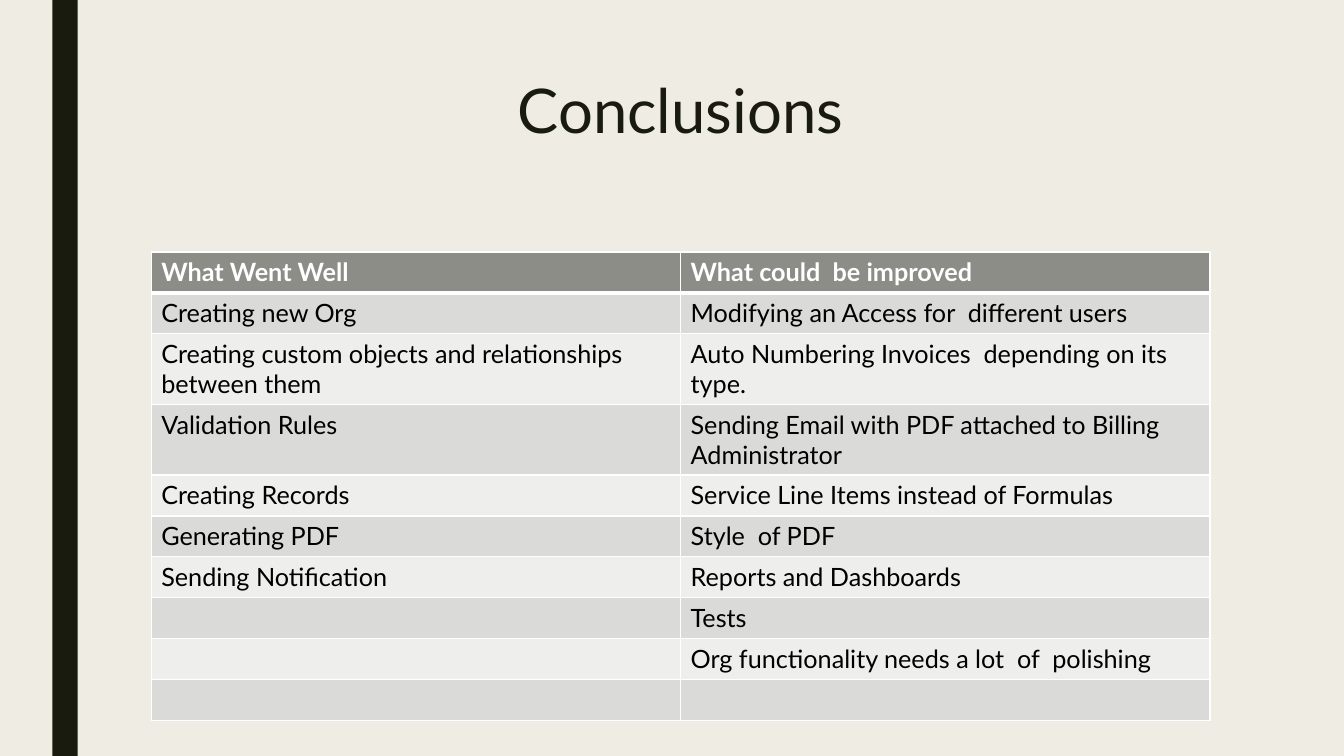
from lxml import etree
from pptx import Presentation
from pptx.dml.color import RGBColor
from pptx.enum.shapes import MSO_SHAPE
from pptx.enum.text import MSO_ANCHOR, PP_ALIGN
from pptx.oxml.ns import qn
from pptx.util import Inches, Pt

RECT = MSO_SHAPE.RECTANGLE
TOP = MSO_ANCHOR.TOP
LEFT, CENTER = PP_ALIGN.LEFT, PP_ALIGN.CENTER

CREAM = RGBColor(0xEF, 0xED, 0xE3)
DARK = RGBColor(0x19, 0x1B, 0x0E)
HEAD = RGBColor(0x8C, 0x8D, 0x86)
BANDS = RGBColor(0xEE, 0xEE, 0xED), RGBColor(0xDA, 0xDB, 0xD9)
WHITE = RGBColor(0xFF, 0xFF, 0xFF)
BLACK = RGBColor(0, 0, 0)
FONT = "Lato"

ROWS = [
    ("What Went Well", "What could  be improved"),
    ("Creating new Org", "Modifying an Access for  different users"),
    ("Creating custom objects and relationships between them",
     "Auto Numbering Invoices  depending on its type."),
    ("Validation Rules",
     "Sending Email with PDF attached to Billing Administrator"),
    ("Creating Records", "Service Line Items instead of Formulas"),
    ("Generating PDF", "Style  of PDF"),
    ("Sending Notification", "Reports and Dashboards"),
    ("", "Tests"),
    ("", "Org functionality needs a lot  of  polishing"),
    ("", ""),
]


def write(frame, text, size=18, color=BLACK, bold=False, align=LEFT, space=1.0):
    frame.word_wrap = True
    para = frame.paragraphs[0]
    para.alignment = align
    para.line_spacing = space
    para.font.size = Pt(size)
    if text:
        run = para.add_run()
        run.text = text
        font = run.font
        font.name, font.size, font.bold = FONT, Pt(size), bold
        font.color.rgb = color


def edge(cell, widths):
    """Draw the cell's white borders; widths maps L, R, T, B to points."""
    props = cell._tc.get_or_add_tcPr()
    for spot, (side, width) in enumerate(widths.items()):
        line = etree.Element(qn(f"a:ln{side}"), w=str(Pt(width)))
        fill = etree.SubElement(line, qn("a:solidFill"))
        etree.SubElement(fill, qn("a:srgbClr"), val=str(WHITE))
        props.insert(spot, line)


def add_bar(slide, x, y, w, h):
    bar = slide.shapes.add_shape(RECT, Inches(x), Inches(y), Inches(w), Inches(h))
    bar.shadow.inherit = False
    bar.fill.solid()
    bar.fill.fore_color.rgb = DARK
    bar.line.fill.background()


def add_title(slide, text, x, y, w, h):
    box = slide.shapes.add_textbox(Inches(x), Inches(y), Inches(w), Inches(h))
    box.text_frame.vertical_anchor = TOP
    write(box.text_frame, text, size=44, color=DARK, align=CENTER, space=0.89)


def add_grid(slide, rows, x, y, w, h):
    """Place a banded table; rows with wrapped text grow past their equal share of h."""
    grid = slide.shapes.add_table(len(rows), len(rows[0]), Inches(x), Inches(y),
                                  Inches(w), Inches(h)).table
    for r, row in enumerate(rows):
        first = r == 0
        for c, text in enumerate(row):
            cell = grid.cell(r, c)
            cell.fill.solid()
            cell.fill.fore_color.rgb = HEAD if first else BANDS[r % 2]
            write(cell.text_frame, text, color=WHITE if first else BLACK, bold=first)
            edge(cell, {"L": 1, "R": 1, "T": 3 if r == 1 else 1, "B": 3 if first else 1})


def main():
    deck = Presentation()
    deck.slide_width, deck.slide_height = Inches(13.33), Inches(7.5)
    slide = deck.slides.add_slide(deck.slide_layouts[6])
    slide.background.fill.solid()
    slide.background.fill.fore_color.rgb = CREAM
    add_bar(slide, 0.52, 0, 0.25, 7.5)
    add_title(slide, "Conclusions", 1.5, 0.75, 10.5, 1.62)
    add_grid(slide, ROWS, 1.5, 2.5, 10.5, 4.06)
    deck.save("out.pptx")


if __name__ == "__main__":
    main()
